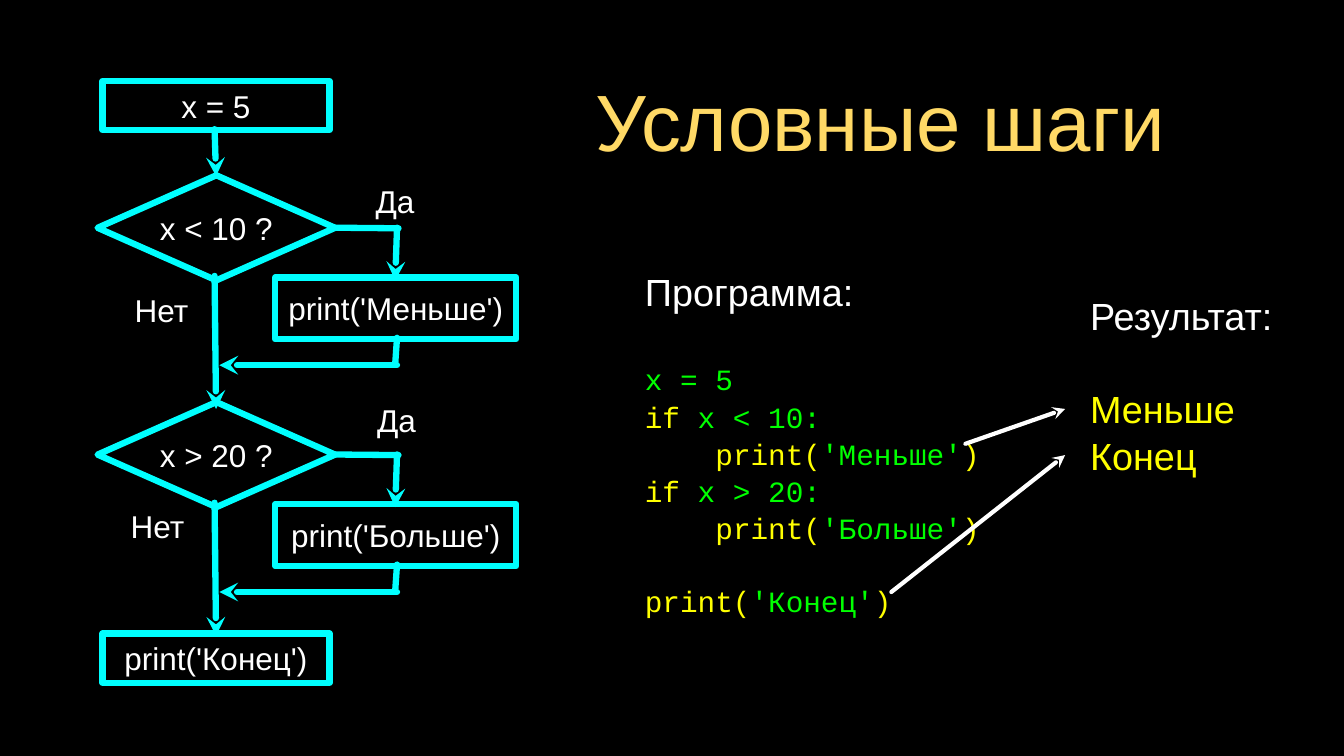
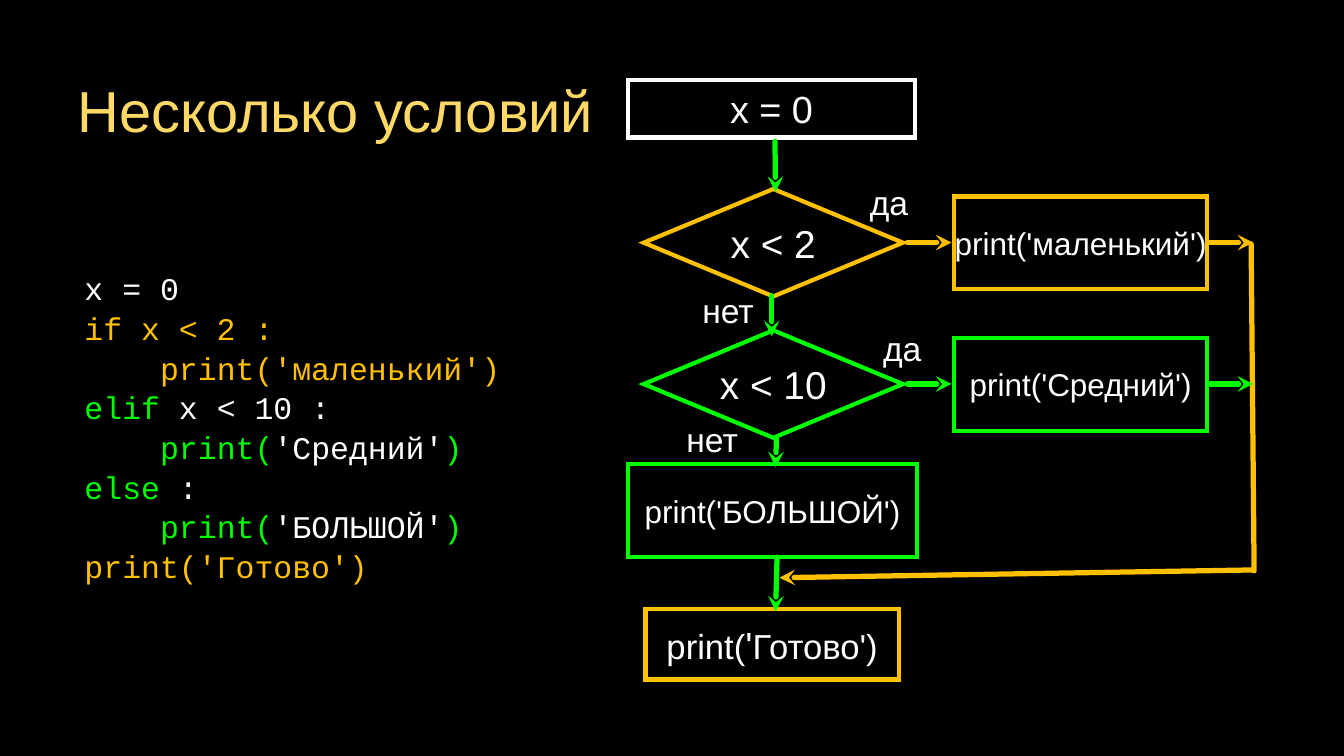
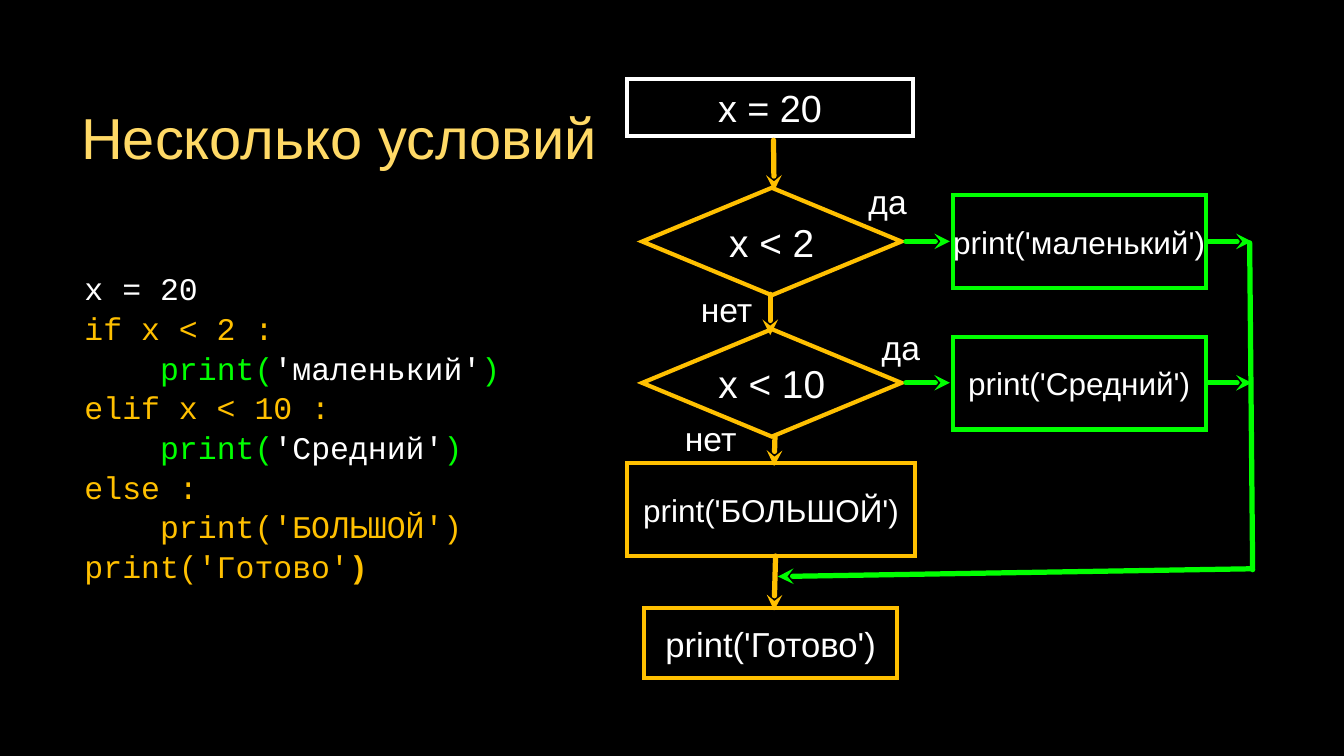
import pptx
import pptx.dml.color
import pptx.enum.dml
import pptx.enum.shapes
import pptx.enum.text
import pptx.oxml
import pptx.oxml.ns
import pptx.util

Cm = pptx.util.Cm
Pt = pptx.util.Pt
RECTANGLE = pptx.enum.shapes.MSO_SHAPE.RECTANGLE
DIAMOND = pptx.enum.shapes.MSO_SHAPE.DIAMOND
ALIGN = pptx.enum.text.PP_ALIGN
COLOURS = {
    "black": "000000", "white": "FFFFFF", "title": "FFD966", "cyan": "00FFFF",
    "green": "00FF00", "yellow": "FFFF00", "amber": "FFC000",
}
RGB = {name: pptx.dml.color.RGBColor.from_string(value) for name, value in COLOURS.items()}
FRAME_FORMAT = {
    "margin_left": 0, "margin_right": 0, "margin_top": 0, "margin_bottom": 0,
    "vertical_anchor": pptx.enum.text.MSO_ANCHOR.MIDDLE,
    "auto_size": pptx.enum.text.MSO_AUTO_SIZE.NONE,
}
TITLE_FRAME_FORMAT = FRAME_FORMAT | {
    name: Cm(0.1) for name in FRAME_FORMAT if name.startswith("margin")}
LEADING = 1.8  # points between the lines of a listing


def add_block(slide, box, paragraphs, size, kind=None, outline=None, width=4,
              join="miter", font="Arial", align=ALIGN.CENTER):
    """Add a text box, or an outlined shape of the given kind, holding text.

    Paragraphs are one string, or (space before, indent, runs) tuples whose
    runs are (text, colour, optional font settings).
    """
    place = [Cm(value) for value in box]
    if kind is None:
        shape = slide.shapes.add_textbox(*place)
    else:
        shape = slide.shapes.add_shape(kind, *place)
        shape.shadow.inherit = False
        shape.fill.background()
        shape.line.color.rgb = RGB[outline]
        shape.line.width = Pt(width)
        corner = "<a:%s %s/>" % (join, pptx.oxml.ns.nsdecls("a"))
        shape.line._get_or_add_ln().append(pptx.oxml.parse_xml(corner))
    frame = shape.text_frame
    for name, value in FRAME_FORMAT.items():
        setattr(frame, name, value)
    frame.word_wrap = align == ALIGN.LEFT
    if isinstance(paragraphs, str):
        paragraphs = [(0, 0, [(paragraphs, "white")])]
    for number, (before, indent, runs) in enumerate(paragraphs):
        paragraph = frame.add_paragraph() if number else frame.paragraphs[0]
        paragraph.alignment = align
        paragraph.space_before = Pt(before)
        if indent:
            paragraph._p.get_or_add_pPr().set("marL", str(Cm(indent)))
        for text, colour, *settings in runs:
            run = paragraph.add_run()
            run.text = text
            run.font.color.rgb = RGB[colour]
            run_format = {"name": font, "size": Pt(size)}
            for extra in settings:
                run_format.update(extra)
            for name, value in run_format.items():
                setattr(run.font, name, value)


def add_line(slide, points, colour, width, arrow=True):
    """Add a round-capped line, with the arrowhead at its first point."""
    line = slide.shapes.add_connector(
        pptx.enum.shapes.MSO_CONNECTOR.STRAIGHT, *[Cm(value) for value in points])
    line.line.color.rgb = RGB[colour]
    line.line.width = Pt(width)
    outline = line.line._get_or_add_ln()
    outline.set("cap", "rnd")
    namespace = pptx.oxml.ns.nsdecls("a")
    outline.append(pptx.oxml.parse_xml("<a:round %s/>" % namespace))
    if arrow:
        outline.append(pptx.oxml.parse_xml('<a:headEnd %s type="stealth"/>' % namespace))
    line._element.spPr.append(pptx.oxml.parse_xml("<a:effectLst %s/>" % namespace))


presentation = pptx.Presentation()
presentation.slide_width = Cm(45.16)
presentation.slide_height = Cm(25.4)
background = presentation.slide_master.background.fill
background.solid()
background.fore_color.rgb = RGB["black"]

# Slides and titles
TITLES = [
    ("Условные шаги", 76, (16.26, 2.13, 26.64, 3.78)),
    ("Несколько условий", 55, (1.83, 1.17, 18.9, 4.98)),
    ("Несколько условий", 55, (2.29, 2.08, 18.21, 4.98)),
]
slides = []
for text, size, box in TITLES:
    slide = presentation.slides.add_slide(presentation.slide_layouts[5])
    title = slide.shapes.title
    title.left, title.top, title.width, title.height = [Cm(value) for value in box]
    title.text_frame.text = text
    for name, value in TITLE_FRAME_FORMAT.items():
        setattr(title.text_frame, name, value)
    paragraph = title.text_frame.paragraphs[0]
    paragraph.alignment = ALIGN.CENTER
    for name, value in {"name": "Arial", "size": Pt(size)}.items():
        setattr(paragraph.font, name, value)
        setattr(paragraph.runs[0].font, name, value)
    paragraph.runs[0].font.color.rgb = RGB["title"]
    slides.append(slide)

# Slide 1: program, result and flowchart of two separate conditions
slide = slides[0]
heading = {"name": "Arial", "size": Pt(36)}
tab = 2.37
program = [
    (0, 0, [("Программа:", "white", heading)]),
    (45, 0, [("x = 5", "green")]),
]
for condition, word in [("x < 10:", "Меньше"), ("x > 20:", "Больше")]:
    program += [
        (LEADING, 0, [("if ", "yellow"), (condition, "green")]),
        (LEADING, tab, [("print(", "yellow"), (f"'{word}'", "green"), (")", "yellow")]),
    ]
program.append((35.3, 0, [("print(", "yellow"), ("'Конец'", "green"), (")", "yellow")]))
result = [
    (0, 0, [("Результат:", "white")]),
    (45, 0, [("Меньше", "yellow")]),
    (LEADING, 0, [("Конец", "yellow")]),
]
add_block(slide, (36.63, 9.91, 6.93, 6.07), result, 36, align=ALIGN.LEFT)
add_block(slide, (21.67, 7.98, 12.6, 13.84), program, 28,
          font="Courier New", align=ALIGN.LEFT)

cyan_box = {"outline": "cyan", "width": 6, "join": "round"}
for top, text in [(2.72, "x = 5"), (21.29, "print('Конец')")]:
    add_block(slide, (3.45, top, 7.62, 1.65), text, 30, RECTANGLE, **cyan_box)
add_line(slide, (7.26, 5.92, 7.21, 4.34), "cyan", 6)

BRANCHES = [
    ("x < 10 ?", "print('Меньше')", (12.27, 5.87, 2.01, 1.73), (4.42, 9.42, 2.01, 1.96)),
    ("x > 20 ?", "print('Больше')", (12.32, 13.23, 2.01, 1.73), (4.29, 16.94, 2.01, 1.47)),
]
BRANCH_LINES = [
    (7.26, 13.74, 7.21, 9.27, True),
    (13.39, 7.67, 11.23, 7.65, False),
    (13.28, 9.42, 13.34, 7.65, True),
    (13.34, 11.35, 13.28, 12.22, False),
    (7.37, 12.27, 13.34, 12.27, True),
]
for number, (question, action, yes_box, no_box) in enumerate(BRANCHES):
    down = number * 7.62
    add_block(slide, (3.28, 5.89 + down, 7.98, 3.53), question, 30, DIAMOND, **cyan_box)
    add_block(slide, (9.25, 9.32 + down, 8.1, 2.08), action, 30, RECTANGLE, **cyan_box)
    for x1, y1, x2, y2, arrow in BRANCH_LINES:
        add_line(slide, (x1, y1 + down, x2, y2 + down), "cyan", 6, arrow)
    add_block(slide, yes_box, "Да", 30)
    add_block(slide, no_box, "Нет", 30)
for points in [(35.79, 13.74, 32.44, 14.91), (35.79, 15.29, 29.95, 19.89)]:
    add_line(slide, points, "white", 4)

# Slides 2 and 3: one flowchart, coloured by the route the value takes
small, medium, big = "'маленький'", "'Средний'", "'БОЛЬШОЙ'"
medium_line = [("print(", "green"), (medium, "white"), (")", "green")]
first_code = [
    (0, [("x = 0", "white")]),
    (0, [("if x < 2 :", "amber")]),
    (1, [(f"print({small})", "amber")]),
    (0, [("elif", "green"), (" x < 10 :", "white")]),
    (1, medium_line),
    (0, [("else", "green"), (" :", "white")]),
    (1, [("print(", "green"), (big, "white"), (")", "green")]),
    (0, [("print('Готово')", "amber")]),
]
second_code = [
    (0, [("x = 20", "white")]),
    (0, [("if x < 2 :", "amber")]),
    (1, [("print(", "green"), (small, "white"), (")", "green")]),
    (0, [("elif x < 10 :", "amber")]),
    (1, medium_line),
    (0, [("else :", "amber")]),
    (1, [(f"print({big})", "amber")]),
    (0, [("print('Готово'", "amber"), (")", "amber", {"bold": True})]),
]
first_end = [(0, 0, [("print(", "white"), ("'", "white", {"size": Pt(36)}),
                     ("Готово')", "white")])]
# slide, code, start text, end text, colour of "yes" route, colour of "no" route, shift
CASES = [
    (slides[1], first_code, "x = 0", first_end, "amber", "green", 0, 0),
    (slides[2], second_code, "x = 20", "print('Готово')", "green", "amber", -0.05, -0.04),
]
DOWN_ARROWS = [
    (26.06, 6.45, 26.04, 4.75), (25.93, 11.3, 25.93, 9.93),
    (26.06, 15.7, 26.09, 14.71), (26.06, 20.55, 26.11, 18.72),
]
LABELS = [
    ("да", 28.91, 6.12, 1.93), ("нет", 23.55, 9.73, 1.83),
    ("да", 29.24, 11.02, 2.16), ("нет", 22.99, 14.07, 1.88),
]
for slide, code, start, end, yes, no, dx, dy in CASES:
    listing = [(LEADING, 2.54 * level, runs) for level, runs in code]
    add_block(slide, (2.84, 8.15, 14.17, 12.4), listing, 30,
              font="Courier New", align=ALIGN.LEFT)
    boxes = [
        (21.11, 2.69, 9.63, 1.93, start, 36, RECTANGLE, "white"),
        (21.11, 15.6, 9.7, 3.12, f"print({big})", 30, RECTANGLE, no),
        (21.69, 20.47, 8.51, 2.36, end, 33, RECTANGLE, "amber"),
    ]
    lines = [(points, no, True) for points in DOWN_ARROWS]
    lines += [((42.14, 19.18, 42.04, 8.2), yes, False),
              ((26.19, 19.41, 42.09, 19.15), yes, True)]
    rows = [("x < 2", small, "amber", yes), ("x < 10", medium, no, "green")]
    for number, (question, word, test_colour, action_colour) in enumerate(rows):
        down = number * 4.75
        boxes += [
            (21.63, 6.35 + down, 8.71, 3.61, question, 37, DIAMOND, test_colour),
            (32.06, 6.6 + down, 8.51, 3.12, f"print({word})", 30, RECTANGLE, action_colour),
        ]
        for tip, tail in [(31.97, 30.49), (42.11, 40.65)]:
            lines.append(((tip, 8.15 + down, tail, 8.15 + down), action_colour, True))
    for left, top, width, height, text, size, kind, colour in boxes:
        add_block(slide, (left + dx, top + dy, width, height), text, size, kind, colour)
    for (x1, y1, x2, y2), colour, arrow in lines:
        add_line(slide, (x1 + dx, y1 + dy, x2 + dx, y2 + dy), colour, 5, arrow)
    for text, left, top, width in LABELS:
        add_block(slide, (left + dx, top + dy, width, 1.37), text, 32)

presentation.save("out.pptx")
